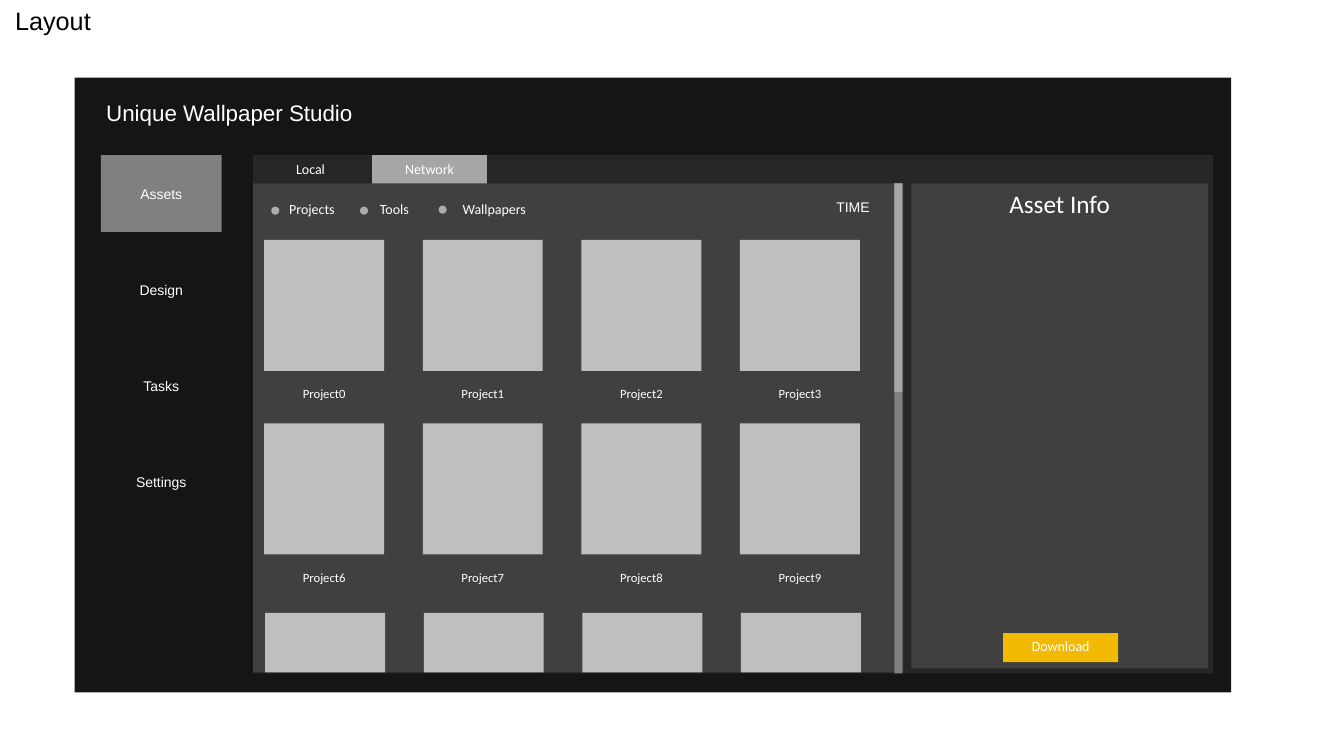
"""Build the layout slide of a wallpaper application's asset browser."""
from dataclasses import dataclass

from pptx import Presentation
from pptx.dml.color import RGBColor
from pptx.enum.shapes import MSO_SHAPE
from pptx.enum.text import MSO_ANCHOR, PP_ALIGN
from pptx.util import Inches, Pt


@dataclass(frozen=True)
class Theme:
    black: str = "000000"
    white: str = "FFFFFF"
    window: str = "151515"
    frame: str = "262626"
    panel: str = "404040"
    track: str = "808080"
    active: str = "A6A6A6"
    dot: str = "AFABAB"
    tile: str = "BFBFBF"
    accent: str = "F2BA02"
    sans: str = "Arial"
    body: str = "Calibri"
    heading: int = 18
    name: int = 16
    label: int = 10
    caption: int = 9


theme = Theme()


def write(s, text, size=theme.label, font=theme.body, color=theme.white,
          align=PP_ALIGN.CENTER, anchor=MSO_ANCHOR.TOP):
    tf = s.text_frame
    tf.text = text
    tf.word_wrap = True
    tf.vertical_anchor = anchor
    p = tf.paragraphs[0]
    p.alignment = align
    r = p.runs[0]
    r.font.size = Pt(size)
    r.font.name = font
    r.font.color.rgb = RGBColor.from_string(color)


def add_box(x, y, w, h, fill=None, kind=MSO_SHAPE.RECTANGLE):
    at = [Inches(v) for v in (x, y, w, h)]
    if fill is None:
        return slide.shapes.add_textbox(*at)
    s = slide.shapes.add_shape(kind, *at)
    s.shadow.inherit = False
    s.fill.solid()
    s.fill.fore_color.rgb = RGBColor.from_string(fill)
    s.line.fill.background()
    return s


prs = Presentation()
prs.slide_width, prs.slide_height = Inches(13.33), Inches(7.5)
slide = prs.slides.add_slide(prs.slide_layouts[5])

title = slide.shapes.title
title.left, title.top = Inches(0.05), Inches(0)
title.width, title.height = Inches(4.44), Inches(0.4)
write(title, "Layout", theme.heading, theme.sans, theme.black, PP_ALIGN.LEFT)

add_box(0.74, 0.77, 11.47, 6.1, theme.window)
write(add_box(0.74, 0.77, 3.07, 0.69), "Unique Wallpaper Studio",
      theme.name, theme.sans, anchor=MSO_ANCHOR.MIDDLE)

for i, text in enumerate(["Assets", "Design", "Tasks", "Settings"]):
    s = add_box(1, 1.54 + i * 0.955, 1.2, 0.76, theme.track if i == 0 else None)
    write(s, text, font=theme.sans, anchor=MSO_ANCHOR.MIDDLE)

add_box(2.51, 1.54, 9.52, 5.14, theme.frame)
for x, text, fill in [(2.51, "Local", None), (3.69, "Network", theme.active)]:
    write(add_box(x, 1.54, 1.14, 0.29, fill), text)

add_box(2.51, 1.82, 6.45, 4.85, theme.panel)
for y, first in [(2.38, 0), (4.2, 6)]:
    for col in range(4):
        x = 2.62 + col * 1.573
        add_box(x, y, 1.19, 1.3, theme.tile)
        write(add_box(x, y + 1.41, 1.19, 0.23), f"Project{first + col}",
              theme.caption, anchor=MSO_ANCHOR.MIDDLE)
for col in range(4):
    add_box(2.63 + col * 1.573, 6.08, 1.19, 0.59, theme.tile)

add_box(8.87, 1.82, 0.08, 4.86, theme.track)
add_box(8.87, 1.82, 0.08, 2.07, theme.active)

write(add_box(9.04, 1.82, 2.94, 4.81, theme.panel), "Asset Info", theme.heading)
write(add_box(9.95, 6.28, 1.14, 0.29, theme.accent), "Download")

write(add_box(8.16, 1.92, 0.6, 0.3), "TIME", font=theme.sans)
for dot_x, dot_y, text_x, text in [(2.69, 2.05, 2.77, "Projects"),
                                   (3.57, 2.05, 3.67, "Tools"),
                                   (4.35, 2.04, 4.49, "Wallpapers")]:
    add_box(dot_x, dot_y, 0.08, 0.08, theme.dot, MSO_SHAPE.OVAL)
    write(add_box(text_x, 1.94, 1.14, 0.29), text, align=PP_ALIGN.LEFT)

prs.save("out.pptx")
